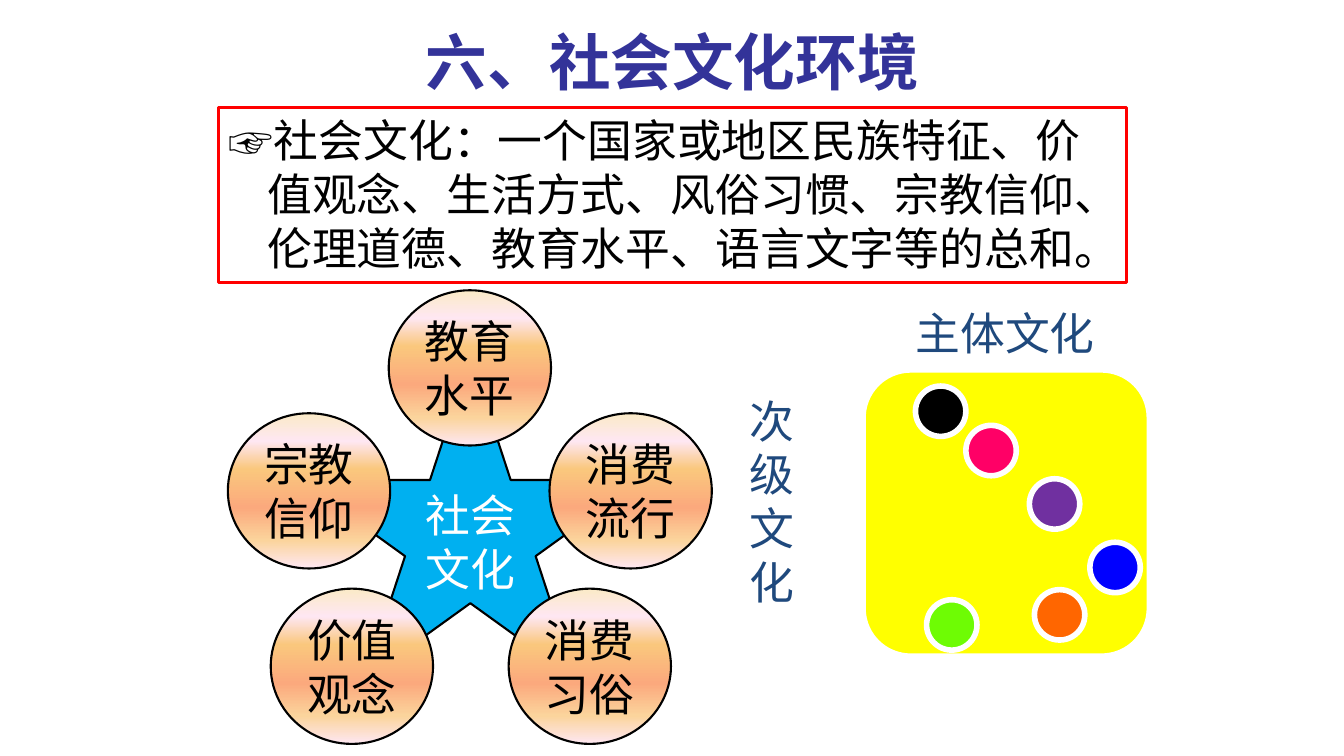
from lxml import etree
from pptx import Presentation
from pptx.dml.color import RGBColor
from pptx.enum import lang, shapes, text
from pptx.oxml import ns
from pptx.util import Inches, Pt

TITLE_FONT = "Noto Sans CJK JP"
BODY_FONT = "Noto Sans CJK SC"
INDIGO = RGBColor(0x33, 0x33, 0x99)
NAVY = RGBColor(0x1F, 0x49, 0x7D)
BLACK = RGBColor(0, 0, 0)
WHITE = RGBColor(0xFF, 0xFF, 0xFF)
RED = RGBColor(0xFF, 0, 0)
SKY = RGBColor(0, 0xB0, 0xF0)
YELLOW = RGBColor(0xFF, 0xFF, 0)
PINK = RGBColor(0xFF, 0, 0x66)
LIME = RGBColor(0x6E, 0xFC, 0x04)
BLUE = RGBColor(0, 0, 0xFF)
ORANGE = RGBColor(0xFF, 0x66, 0)
PURPLE = RGBColor(0x70, 0x30, 0xA0)
PEACH_STOPS = [
    (0, RGBColor(0xFB, 0xEA, 0xC7)),
    (18, RGBColor(0xFE, 0xE7, 0xF2)),
    (36, RGBColor(0xFA, 0xC7, 0x7D)),
    (61, RGBColor(0xFB, 0xA9, 0x7D)),
    (82, RGBColor(0xFB, 0xD4, 0x9C)),
    (100, RGBColor(0xFE, 0xE7, 0xF2)),
]


def inches(box):
    """Convert a (left, top, width, height) box to lengths."""
    return [Inches(value) for value in box]


def place(shape, box):
    """Move a placeholder to a box."""
    shape.left, shape.top, shape.width, shape.height = inches(box)


def write(shape, words, color=BLACK, size=32, font=BODY_FONT, bold=False,
          align=text.PP_ALIGN.CENTER, anchor=text.MSO_ANCHOR.MIDDLE,
          spacing=Pt(38.5), bullet=None, indent=0.38, inset=None):
    """Fill a shape with one formatted paragraph."""
    frame = shape.text_frame
    frame.word_wrap = True
    frame.auto_size = text.MSO_AUTO_SIZE.NONE
    frame.vertical_anchor = anchor
    if inset is not None:
        frame.margin_left = frame.margin_right = Inches(inset)
    paragraph = frame.paragraphs[0]
    paragraph.alignment = align
    paragraph.space_before = Pt(0)
    paragraph.line_spacing = spacing
    if bullet:
        properties = paragraph._p.get_or_add_pPr()
        properties.set("marL", str(Inches(indent)))
        properties.set("indent", str(-Inches(indent)))
        etree.SubElement(properties, ns.qn("a:buFont"), typeface=BODY_FONT)
        etree.SubElement(properties, ns.qn("a:buChar"), char=bullet)
    run = paragraph.add_run()
    run.text = words
    run.font.name = font
    run.font.size = Pt(size)
    run.font.bold = bold
    run.font.color.rgb = color
    run.font.language_id = lang.MSO_LANGUAGE_ID.SIMPLIFIED_CHINESE
    etree.SubElement(run.font._element, ns.qn("a:ea"), typeface=font)


def add_figure(parent, kind, box, line, width, fill=None):
    """Add an outlined preset shape without shadow."""
    shape = parent.shapes.add_shape(kind, *inches(box))
    shape.shadow.inherit = False
    shape.line.color.rgb = line
    shape.line.width = Pt(width)
    if fill is not None:
        shape.fill.solid()
        shape.fill.fore_color.rgb = fill
    return shape


def paint_gradient(shape, color_stops):
    """Give a shape a top-to-bottom gradient."""
    shape.fill.gradient()
    gradient = shape._element.spPr.find(ns.qn("a:gradFill"))
    stop_list = gradient.find(ns.qn("a:gsLst"))
    for stop in list(stop_list):
        stop_list.remove(stop)
    for percent, color in color_stops:
        stop = etree.SubElement(stop_list, ns.qn("a:gs"), pos=str(percent * 1000))
        etree.SubElement(stop, ns.qn("a:srgbClr"), val=str(color))
    direction = gradient.find(ns.qn("a:lin"))
    direction.set("ang", "5400000")
    direction.set("scaled", "0")


def add_title(slide, box):
    """Place the slide title."""
    title = slide.shapes.title
    place(title, box)
    write(title, "六、社会文化环境", color=INDIGO, size=44, font=TITLE_FONT,
          bold=True, spacing=1.0)


def add_definition(slide, box):
    """Place the framed definition of social culture."""
    body = slide.placeholders[1]
    place(body, box)
    body.line.color.rgb = RED
    body.line.width = Pt(2.25)
    write(body, "社会文化：一个国家或地区民族特征、价值观念、生活方式、风俗习惯、"
                "宗教信仰、伦理道德、教育水平、语言文字等的总和。",
          align=text.PP_ALIGN.LEFT, anchor=text.MSO_ANCHOR.TOP, bullet="☞")


def add_culture_star(slide, box):
    """Draw the star and the five elements around it."""
    left, top, width, height = box
    group = slide.shapes.add_group_shape()
    star_box = (left + 0.71, top + 0.66, 3.39, 3.2)
    star = add_figure(group, shapes.MSO_SHAPE.STAR_5_POINT, star_box, BLACK, 1.5, SKY)
    write(star, "社会文化", color=WHITE)
    circle_width, circle_height = 1.61, 1.54
    middle = (width - circle_width) / 2
    low_row, mid_row = height - circle_height, 1.22
    elements = [
        ("教育水平", middle, 0),
        ("宗教信仰", 0, mid_row),
        ("价值观念", middle - 1.17, low_row),
        ("消费习俗", middle + 1.19, low_row),
        ("消费流行", width - circle_width, mid_row),
    ]
    for words, x, y in elements:
        circle_box = (left + x, top + y, circle_width, circle_height)
        circle = add_figure(group, shapes.MSO_SHAPE.OVAL, circle_box, BLACK, 1.5)
        paint_gradient(circle, PEACH_STOPS)
        write(circle, words)


def add_subcultures(slide, box):
    """Draw the main culture panel with its subculture dots and labels."""
    left, top, width, height = box
    group = slide.shapes.add_group_shape()
    panel_box = (left + 1.18, top + 0.68, 2.84, 2.84)
    add_figure(group, shapes.MSO_SHAPE.ROUNDED_RECTANGLE, panel_box, WHITE, 4, YELLOW)
    dots = [
        (1.02, 0.55, PINK),
        (0.63, 2.28, LIME),
        (2.25, 1.71, BLUE),
        (1.7, 2.18, ORANGE),
        (1.65, 1.08, PURPLE),
        (0.52, 0.16, BLACK),
    ]
    for x, y, color in dots:
        dot_box = (panel_box[0] + x, panel_box[1] + y, 0.5, 0.5)
        add_figure(group, shapes.MSO_SHAPE.FLOWCHART_CONNECTOR, dot_box, WHITE, 4, color)
    labels = [
        ("主体文化", (left + 1.49, top, 2.2, 0.61)),
        ("次级文化", (left, top + 0.68, 0.55, 2.6)),
    ]
    for words, label_box in labels:
        label = group.shapes.add_textbox(*inches(label_box))
        write(label, words, color=NAVY, inset=0)


def main():
    """Build and save the slide."""
    presentation = Presentation()
    presentation.slide_width = Inches(13.33)
    presentation.slide_height = Inches(7.5)
    slide = presentation.slides.add_slide(presentation.slide_layouts[1])
    add_title(slide, (0.67, 0.13, 12, 0.95))
    add_definition(slide, (2.17, 1.07, 9, 1.73))
    add_culture_star(slide, (2.26, 2.88, 4.8, 4.5))
    add_subcultures(slide, (7.38, 2.99, 4.02, 3.52))
    presentation.save("out.pptx")


if __name__ == "__main__":
    main()
